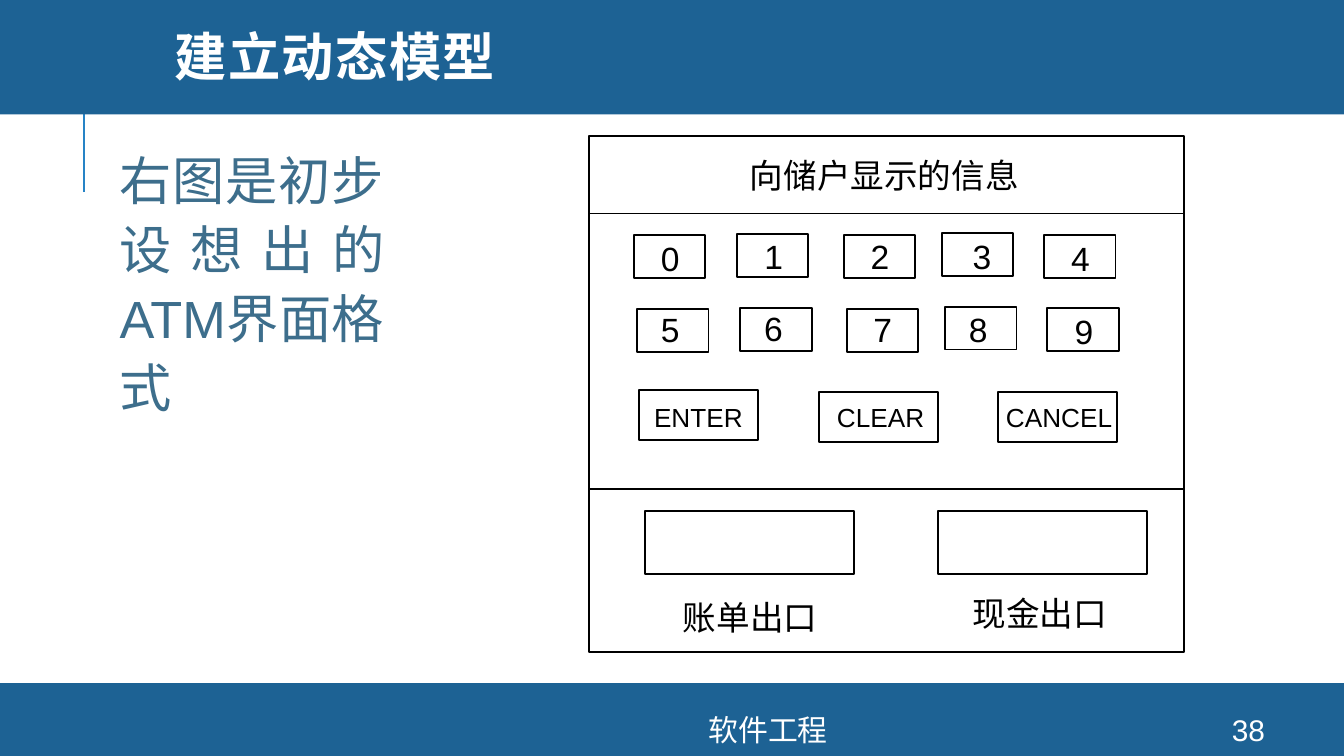
"""Build the ATM interface slide of a software engineering course."""
from dataclasses import dataclass
from typing import NamedTuple, Optional

from lxml import etree
from pptx import Presentation
from pptx import util as u
from pptx.dml.color import RGBColor
from pptx.enum import shapes, text
from pptx.oxml.ns import qn
from pptx.slide import Slide


@dataclass(frozen=True)
class Theme:
    band: str = "1D6294"
    accent: str = "2683C6"
    body: str = "3D6E8C"
    ink: str = "000000"
    light: str = "FFFFFF"
    heading_font: str = "Montserrat"
    body_font: str = "Arial"
    heading_size: float = 28
    label_size: float = 18
    footer_size: float = 16
    button_size: float = 14


class Area(NamedTuple):
    left: float
    top: float
    width: float
    height: float


class Point(NamedTuple):
    x: float
    y: float


@dataclass(frozen=True)
class Style:
    size: float
    color: str
    font: str = "Arial"
    bold: bool = False
    tracking: int = 0
    align: Optional[text.PP_ALIGN] = None
    anchor: text.MSO_ANCHOR = text.MSO_ANCHOR.TOP
    line_spacing: Optional[float] = None
    inset: Optional[float] = None


@dataclass(frozen=True)
class Key:
    caption: str
    corner: Point
    caption_corner: Point


THEME = Theme()
LABEL = Style(THEME.label_size, THEME.ink, THEME.body_font)
BUTTON = Style(THEME.button_size, THEME.ink, THEME.body_font)
FOOTER = Style(THEME.footer_size, THEME.light, THEME.body_font,
               align=text.PP_ALIGN.CENTER, anchor=text.MSO_ANCHOR.MIDDLE)
HEADING = Style(THEME.heading_size, THEME.light, THEME.heading_font, bold=True,
                tracking=80, anchor=text.MSO_ANCHOR.MIDDLE, line_spacing=0.8)
BODY = Style(THEME.heading_size, THEME.body, THEME.body_font,
             align=text.PP_ALIGN.JUSTIFY, line_spacing=1.1, inset=3.6)

PANEL = Area(315.4, 72.7, 319, 276.5)
DIGIT_KEYS = [
    Key("0", Point(339.5, 126), Point(347, 123.8)),
    Key("1", Point(394.8, 125.4), Point(402.5, 122.6)),
    Key("2", Point(452, 126), Point(459.4, 122.6)),
    Key("3", Point(504.6, 125), Point(514, 122.6)),
    Key("4", Point(559.3, 126), Point(566.8, 123.8)),
    Key("5", Point(341.3, 165.6), Point(347, 162.2)),
    Key("6", Point(396.5, 165), Point(402.3, 161.5)),
    Key("7", Point(453.6, 165.6), Point(460.8, 162.2)),
    Key("8", Point(506.3, 164.3), Point(512, 162.2)),
    Key("9", Point(561, 165), Point(568.7, 163)),
]
COMMAND_KEYS = [
    Key("ENTER", Point(342.3, 209), Point(343.3, 211.7)),
    Key("CLEAR", Point(438.6, 210.2), Point(441.3, 211.7)),
    Key("CANCEL", Point(534.5, 210.2), Point(531.8, 211.7)),
]
OUTLETS = [
    Key("账单出口", Point(345.5, 273.6), Point(358.8, 316)),
    Key("现金出口", Point(502.4, 273.6), Point(514, 314)),
]


def add_box(slide: Slide, area: Area, fill: Optional[str] = None, weight: float = 1) -> None:
    """Draw a filled band, or an outlined rectangle when no fill is given."""
    box = slide.shapes.add_shape(shapes.MSO_SHAPE.RECTANGLE, *map(u.Pt, area))
    box.shadow.inherit = False
    if fill:
        box.fill.solid()
        box.fill.fore_color.rgb = RGBColor.from_string(fill)
        box.line.fill.background()
    else:
        box.fill.background()
        box.line.color.rgb = RGBColor.from_string(THEME.ink)
        box.line.width = u.Pt(weight)


def add_rule(slide: Slide, start: Point, end: Point, color: str, weight: float) -> None:
    """Draw a straight line without shadow."""
    rule = slide.shapes.add_connector(shapes.MSO_CONNECTOR.STRAIGHT, *map(u.Pt, start + end))
    rule.line.color.rgb = RGBColor.from_string(color)
    rule.line.width = u.Pt(weight)
    etree.SubElement(rule._element.spPr, qn("a:effectLst"))


def add_text(slide: Slide, area: Area, wording: str, style: Style) -> None:
    """Place one paragraph of text in the given style."""
    frame = slide.shapes.add_textbox(*map(u.Pt, area)).text_frame
    frame.word_wrap = True
    frame.vertical_anchor = style.anchor
    if style.inset is not None:
        frame.margin_left = frame.margin_right = u.Pt(style.inset)
        frame.margin_top = frame.margin_bottom = u.Pt(style.inset)
    paragraph = frame.paragraphs[0]
    paragraph.alignment = style.align
    paragraph.line_spacing = style.line_spacing
    run = paragraph.add_run()
    run.text = wording
    run.font.name = style.font
    run.font.size = u.Pt(style.size)
    run.font.bold = style.bold
    run.font.color.rgb = RGBColor.from_string(style.color)
    if style.tracking:
        run._r.get_or_add_rPr().set("spc", str(style.tracking))


def add_keys(slide: Slide, keys: list[Key], key_size: Point, caption_size: Point,
             style: Style) -> None:
    """Draw a group of equal outlined keys with their captions."""
    for key in keys:
        add_box(slide, Area(*key.corner, *key_size))
        add_text(slide, Area(*key.caption_corner, *caption_size), key.caption, style)


def add_page(slide: Slide) -> None:
    """Draw the bands, heading, body text and footer."""
    add_rule(slide, Point(45, 103), Point(45, 49), THEME.accent, 1.5)
    add_box(slide, Area(0, 366, 720, 39), THEME.band)
    add_box(slide, Area(0, -2, 720, 63.3), THEME.band)
    add_text(slide, Area(86.4, 0, 611.3, 65.5), "建立动态模型", HEADING)
    add_text(slide, Area(60.5, 72.7, 149, 211), "右图是初步设想出的ATM界面格式", BODY)
    add_text(slide, Area(188, 382.3, 447, 16.6), "软件工程", FOOTER)
    add_text(slide, Area(640, 382.3, 57.6, 16.6), "38", FOOTER)


def add_atm(slide: Slide) -> None:
    """Draw the ATM panel with its display, keys and outlets."""
    add_box(slide, PANEL, weight=1.25)
    for y in (114.5, 262):
        add_rule(slide, Point(PANEL.left, y), Point(PANEL.left + PANEL.width, y),
                 THEME.ink, 0.75)
    add_text(slide, Area(394.6, 79.2, 165, 29), "向储户显示的信息", LABEL)
    add_keys(slide, DIGIT_KEYS, Point(38.3, 23), Point(30.5, 29), LABEL)
    add_keys(slide, COMMAND_KEYS, Point(64, 26.6), Point(72.7, 24.5), BUTTON)
    add_keys(slide, OUTLETS, Point(112, 34), Point(98.6, 29), LABEL)


def main() -> None:
    """Build and save the slide."""
    deck = Presentation()
    deck.slide_width, deck.slide_height = u.Pt(720), u.Pt(405)
    slide = deck.slides.add_slide(deck.slide_layouts[6])
    add_page(slide)
    add_atm(slide)
    deck.save("out.pptx")


if __name__ == "__main__":
    main()
